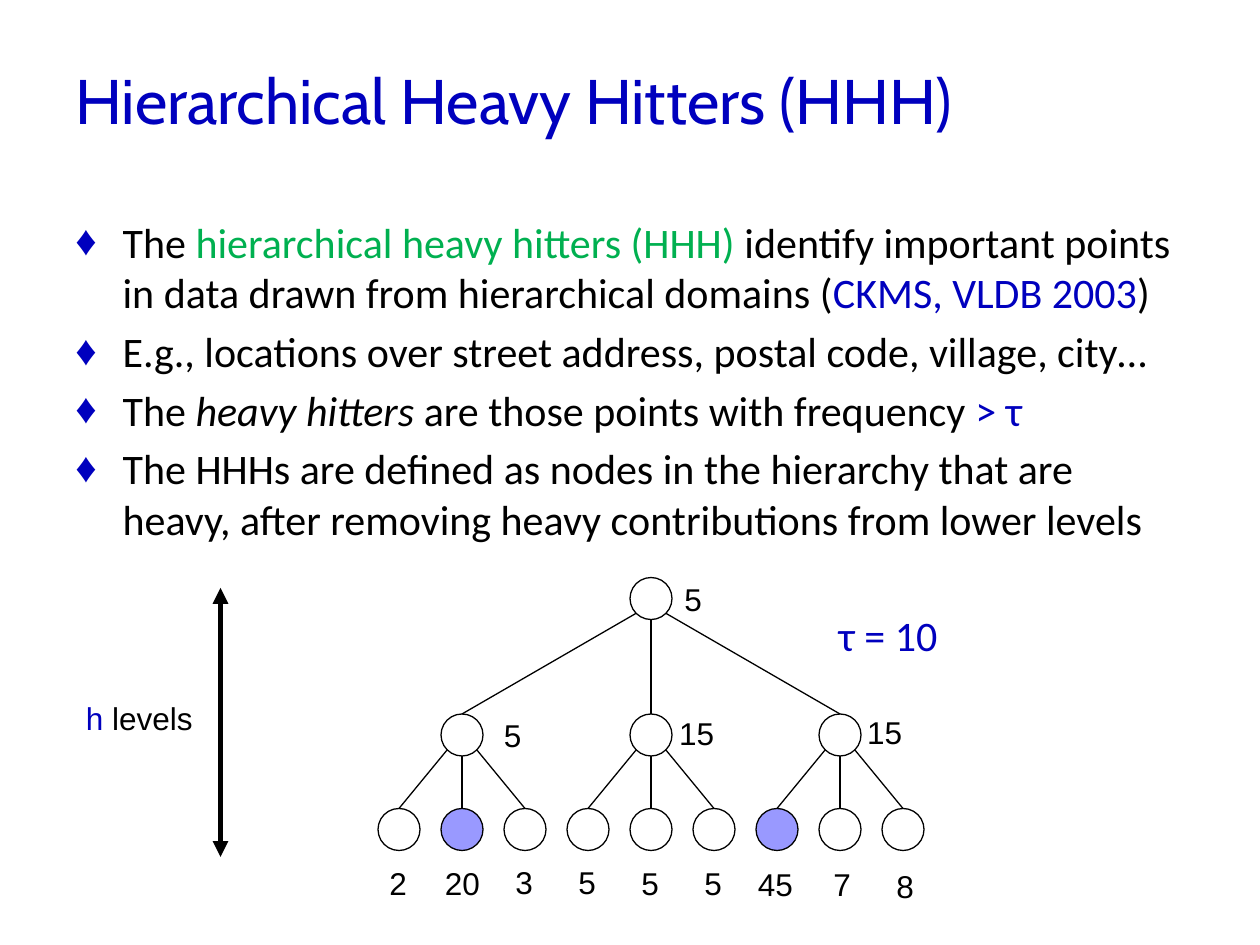
from dataclasses import dataclass
from typing import NamedTuple

from lxml.etree import SubElement
from pptx import Presentation
from pptx.dml.color import RGBColor as RGB
from pptx.enum.shapes import MSO_CONNECTOR as LINK, MSO_SHAPE as SHAPE
from pptx.enum.text import MSO_ANCHOR as ANCHOR
from pptx.oxml.ns import qn
from pptx.util import Pt

SCALE = 7620  # EMU per px, 120 px to the inch
DISC = 40
INDENT = 45


@dataclass(frozen=True)
class Theme:
    ink: str = "000000"
    blue: str = "0000BE"
    green: str = "00B050"
    heavy: str = "9999FF"
    head: str = "Cabin"
    body: str = "Calibri"
    label: str = "Arial"
    big: int = 36
    mid: int = 24
    small: int = 18
    gap: float = 4.8


class Box(NamedTuple):
    x: int
    y: int
    w: int
    h: int


class Run(NamedTuple):
    text: str
    color: str = ""
    italic: bool = False


class Node(NamedTuple):
    x: int
    y: int
    count: str
    dx: int  # label offset from the node
    dy: int
    wide: int = 41
    heavy: bool = False


T = Theme()

POINTS = [
    [Run("The "), Run("hierarchical heavy hitters (HHH) ", T.green),
     Run("identify important points in data drawn from hierarchical domains ("),
     Run("CKMS, VLDB 2003", T.blue), Run(")")],
    [Run("E.g., locations over street address, postal code, village, city…")],
    [Run("The "), Run("heavy hitters", italic=True),
     Run(" are those points with frequency "), Run("> τ", T.blue)],
    [Run("The HHHs are defined as nodes in the hierarchy that are heavy, "
         "after removing heavy contributions from lower levels")],
]

ROOT = Node(600, 550, "5", 40, -3)
MIDS = [
    Node(420, 680, "5", 48, -4),
    Node(600, 680, "15", 35, -6, 58),
    Node(780, 680, "15", 34, -7, 58),
]
LEAVES = [
    Node(360 + 60 * i, 770, *rest) for i, rest in enumerate([
        ("2", -1, 47),
        ("20", -8, 47, 58, True),
        ("3", -1, 46),
        ("5", -1, 46),
        ("5", -1, 47),
        ("5", -1, 47),
        ("45", -10, 48, 58, True),
        ("7", 2, 48, 58),
        ("8", 2, 50, 58),
    ])
]


def emu(*px: int) -> list[int]:
    return [n * SCALE for n in px]


def bullet(para) -> None:
    """Give the paragraph a hanging blue diamond."""
    props = para._p.get_or_add_pPr()
    props.set("marL", str(INDENT * SCALE))
    props.set("indent", str(-INDENT * SCALE))
    tint = SubElement(props, qn("a:buClr"))
    SubElement(tint, qn("a:srgbClr"), val=T.blue)
    SubElement(props, qn("a:buFont"), typeface=T.label)
    SubElement(props, qn("a:buChar"), char="♦")


def write(slide, box: Box, paras: list[list[Run]], font: str, size: int,
          color: str = T.ink, dots: bool = False, wrap: bool = True):
    frame = slide.shapes.add_textbox(*emu(*box)).text_frame
    frame.word_wrap = wrap
    for i, runs in enumerate(paras):
        para = frame.add_paragraph() if i else frame.paragraphs[0]
        if dots:
            bullet(para)
        if i:
            para.space_before = Pt(T.gap)
        para.font.name = font
        para.font.size = Pt(size)
        para.font.color.rgb = RGB.from_string(color)
        for part in runs:
            run = para.add_run()
            run.text = part.text
            if part.color:
                run.font.color.rgb = RGB.from_string(part.color)
            if part.italic:
                run.font.italic = True
    return frame


def link(slide, x1: int, y1: int, x2: int, y2: int,
         width: float = 0.75, arrows: bool = False) -> None:
    line = slide.shapes.add_connector(LINK.STRAIGHT, *emu(x1, y1, x2, y2))
    line.line.color.rgb = RGB.from_string(T.ink)
    line.line.width = Pt(width)
    if arrows:
        for end in ("a:headEnd", "a:tailEnd"):
            SubElement(line.line._get_or_add_ln(), qn(end), type="triangle")
    SubElement(line._element.spPr, qn("a:effectLst"))


def draw(slide, node: Node) -> None:
    disc = slide.shapes.add_shape(SHAPE.OVAL, *emu(node.x, node.y, DISC, DISC))
    disc.shadow.inherit = False
    if node.heavy:
        disc.fill.solid()
        disc.fill.fore_color.rgb = RGB.from_string(T.heavy)
    else:
        disc.fill.background()
    disc.line.color.rgb = RGB.from_string(T.ink)
    disc.line.width = Pt(0.75)
    box = Box(node.x + node.dx, node.y + node.dy, node.wide, 48)
    write(slide, box, [[Run(node.count)]], T.label, T.small)


def join(slide, top: Node, kids: list[Node]) -> None:
    """Link a node's lower rim to the top of each of its three children."""
    half = DISC // 2
    for kid, (dx, dy) in zip(kids, [(6, 34), (half, DISC), (34, 34)]):
        link(slide, top.x + dx, top.y + dy, kid.x + half, kid.y)


def main() -> None:
    deck = Presentation()
    deck.slide_width, deck.slide_height = emu(1200, 900)
    slide = deck.slides.add_slide(deck.slide_layouts[6])

    title = write(slide, Box(60, 40, 1140, 110),
                  [[Run("Hierarchical Heavy Hitters (HHH)")]],
                  T.head, T.big, T.blue)
    title.vertical_anchor = ANCHOR.MIDDLE
    write(slide, Box(60, 200, 1080, 570), POINTS, T.body, T.mid, dots=True)

    for node in [*LEAVES, *MIDS, ROOT]:
        draw(slide, node)
    join(slide, ROOT, MIDS)
    for i, node in enumerate(MIDS):
        join(slide, node, LEAVES[3 * i:3 * i + 3])

    write(slide, Box(787, 575, 600, 60), [[Run("τ = 10")]],
          T.body, T.mid, T.blue)
    write(slide, Box(70, 660, 127, 48), [[Run("h", T.blue), Run(" levels")]],
          T.label, T.small, wrap=False)
    link(slide, 210, 560, 210, 816, 3, arrows=True)

    deck.save("out.pptx")


if __name__ == "__main__":
    main()
